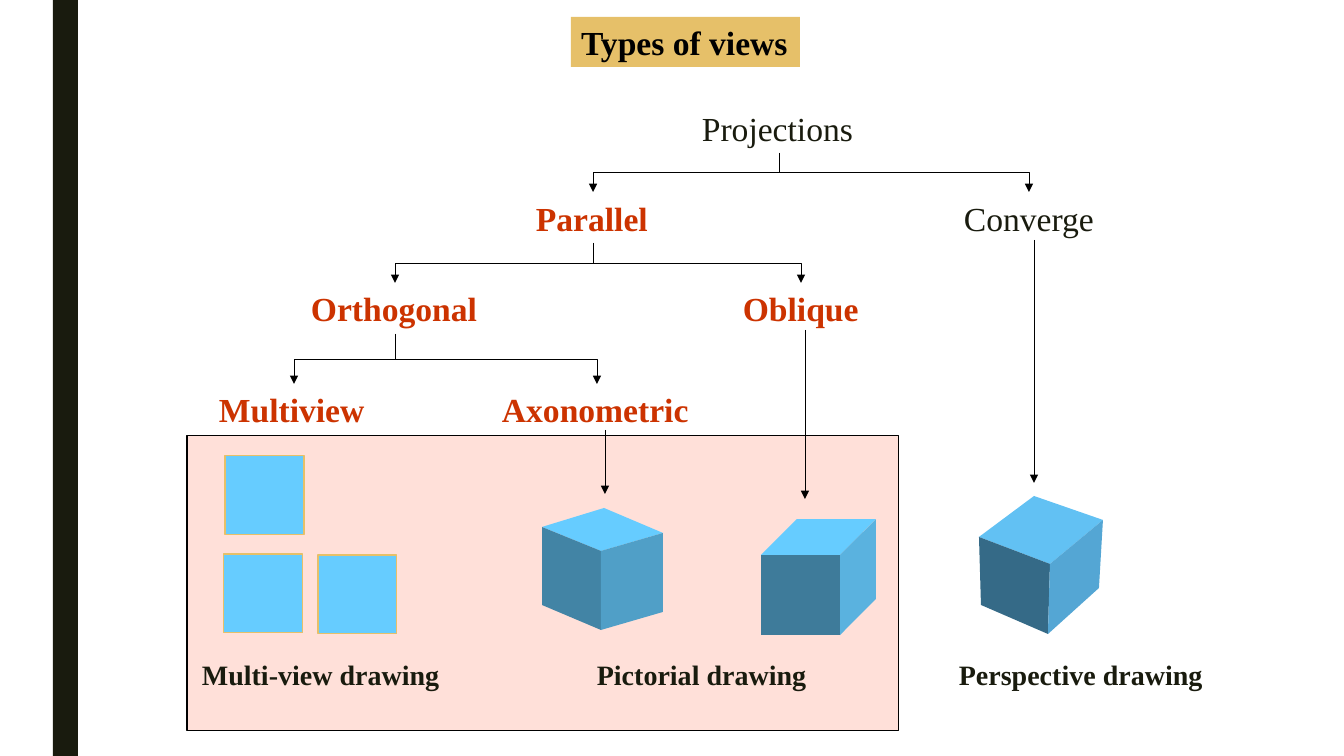
"""Build the "Types of views" slide: a tree of projections with sample drawings."""
from dataclasses import dataclass
from typing import Optional

from lxml.etree import SubElement
from pptx import Presentation
from pptx.dml.color import RGBColor
from pptx.enum.shapes import MSO_CONNECTOR as Connector, MSO_SHAPE as Preset
from pptx.enum.text import MSO_ANCHOR as Anchor, MSO_AUTO_SIZE as AutoSize, PP_ALIGN as Align
from pptx.oxml.ns import qn
from pptx.util import Emu, Pt

EMU_PER_PX = 914400 / 100.8
SLIDE_WIDTH, SLIDE_HEIGHT = 1344, 756
FONT = "Times New Roman"
BLACK = RGBColor(0x00, 0x00, 0x00)
INK = RGBColor(0x19, 0x1B, 0x0E)
GOLD = RGBColor(0xE6, 0xC0, 0x69)
RED = RGBColor(0xCC, 0x33, 0x00)
PANEL_RED = RGBColor(0xFF, 0x33, 0x00)
SKY = RGBColor(0x66, 0xCC, 0xFF)

Point = tuple[int, int]


@dataclass(frozen=True)
class Label:
    text: str
    left: int
    top: int
    width: int
    height: int = 50
    size: int = 24
    color: RGBColor = RED
    bold: bool = True
    wrap: bool = False
    fit: AutoSize = AutoSize.SHAPE_TO_FIT_TEXT


@dataclass(frozen=True)
class Branch:
    stem_x: int
    top: int
    bottom: int
    child_xs: tuple[int, int]


@dataclass(frozen=True)
class Arrow:
    x: int
    top: int
    bottom: int


@dataclass(frozen=True)
class Cube:
    left: Point
    back: Point
    right: Point
    front: Point
    low_left: Point
    low_front: Point
    low_right: Point
    top_color: RGBColor
    left_color: RGBColor
    right_color: RGBColor


TITLE = Label("Types of views", 571, 17, 229, color=BLACK, fit=AutoSize.NONE)
LABELS = [
    Label("Projections", 692, 103, 172, color=INK, bold=False),
    Label("Converge", 954, 193, 151, color=INK, bold=False),
    Label("Parallel", 526, 193, 133),
    Label("Orthogonal", 301, 283, 188),
    Label("Oblique", 733, 283, 137),
    Label("Axonometric", 492, 384, 209),
    Label("Multiview", 209, 384, 171),
    Label("Pictorial drawing", 587, 653, 232, 44, 20, INK),
    Label("Perspective drawing", 949, 653, 275, 44, 20, INK, wrap=True),
    Label("Multi-view drawing", 192, 653, 260, 44, 20, INK),
]
BRANCHES = [
    Branch(779, 153, 192, (593, 1029)),
    Branch(593, 243, 283, (395, 801)),
    Branch(395, 334, 384, (294, 597)),
]
ARROWS = [Arrow(805, 330, 499), Arrow(605, 430, 494), Arrow(1034, 240, 483)]
VIEW_SIZE = 79
VIEWS = [(224, 554), (318, 555), (225, 456)]
CUBES = [
    Cube((542, 527), (604, 508), (663, 533), (601, 551), (542, 605), (601, 630), (663, 612),
         SKY, RGBColor(0x42, 0x84, 0xA5), RGBColor(0x50, 0x9F, 0xC7)),
    Cube((761, 555), (797, 519), (876, 519), (840, 555), (761, 635), (840, 635), (876, 599),
         SKY, RGBColor(0x3E, 0x7B, 0x9A), RGBColor(0x5A, 0xB2, 0xDF)),
    Cube((979, 537), (1034, 496), (1103, 520), (1050, 564), (981, 605), (1048, 634), (1099, 588),
         RGBColor(0x62, 0xC1, 0xF3), RGBColor(0x35, 0x6A, 0x87), RGBColor(0x54, 0xA6, 0xD4)),
]


def px(length: float) -> Emu:
    """Turn pixels into EMU."""
    return Emu(round(length * EMU_PER_PX))


def paint(shape, fill: RGBColor, line: Optional[RGBColor] = None) -> None:
    """Give a shape a flat fill, an optional thin outline and no shadow."""
    shape.shadow.inherit = False
    shape.fill.solid()
    shape.fill.fore_color.rgb = fill
    if line is None:
        shape.line.fill.background()
    else:
        shape.line.color.rgb = line
        shape.line.width = Pt(0.75)


def add_rectangle(page, left: int, top: int, width: int, height: int,
                  fill: RGBColor, line: Optional[RGBColor] = None):
    """Add a painted rectangle."""
    box = page.shapes.add_shape(Preset.RECTANGLE, px(left), px(top), px(width), px(height))
    paint(box, fill, line)
    return box


def write_label(box, label: Label) -> None:
    """Place a box and set its formatted text."""
    box.left, box.top = px(label.left), px(label.top)
    box.width, box.height = px(label.width), px(label.height)
    frame = box.text_frame
    frame.text = label.text
    frame.word_wrap = label.wrap
    frame.auto_size = label.fit
    frame.vertical_anchor = Anchor.TOP
    para = frame.paragraphs[0]
    para.alignment = Align.LEFT
    font = para.runs[0].font
    font.name, font.size, font.bold = FONT, Pt(label.size), label.bold
    font.color.rgb = label.color


def add_arrow(page, kind: Connector, begin: tuple[float, float], end: tuple[float, float]):
    """Add a thin black connector with a triangle at its end."""
    arrow = page.shapes.add_connector(kind, *map(px, begin + end))
    arrow.line.color.rgb = BLACK
    arrow.line.width = Pt(0.5)
    SubElement(arrow.line._get_or_add_ln(), qn("a:tailEnd"), type="triangle")
    SubElement(arrow._element.spPr, qn("a:effectLst"))
    return arrow


def add_branch(page, branch: Branch) -> None:
    """Add elbow arrows that leave a stem downwards, each a turned connector."""
    half_drop = (branch.bottom - branch.top) / 2
    middle_y = branch.top + half_drop
    for child_x in branch.child_xs:
        middle_x = (branch.stem_x + child_x) / 2
        half_span = abs(child_x - branch.stem_x) / 2
        side = 1 if child_x > branch.stem_x else -1
        begin = (middle_x + side * half_drop, middle_y - half_span)
        end = (middle_x - side * half_drop, middle_y + half_span)
        elbow = add_arrow(page, Connector.ELBOW, begin, end)
        degrees = 270 if side > 0 else 90
        elbow._element.spPr.find(qn("a:xfrm")).set("rot", str(degrees * 60000))


def add_cube(page, cube: Cube) -> None:
    """Draw the three visible faces of a cube."""
    faces = [
        (cube.top_color, (cube.left, cube.back, cube.right, cube.front)),
        (cube.left_color, (cube.left, cube.front, cube.low_front, cube.low_left)),
        (cube.right_color, (cube.front, cube.right, cube.low_right, cube.low_front)),
    ]
    for color, corners in faces:
        outline = page.shapes.build_freeform(*corners[0], scale=EMU_PER_PX)
        outline.add_line_segments(corners[1:], close=True)
        paint(outline.convert_to_shape(), color)


def main() -> None:
    """Build and save the deck."""
    deck = Presentation()
    deck.slide_width, deck.slide_height = px(SLIDE_WIDTH), px(SLIDE_HEIGHT)
    page = deck.slides.add_slide(deck.slide_layouts[5])
    add_rectangle(page, 53, 0, 25, SLIDE_HEIGHT, INK)
    panel = add_rectangle(page, 187, 436, 712, 295, PANEL_RED, BLACK)
    panel_color = panel._element.spPr.find(qn("a:solidFill"))[0]
    SubElement(panel_color, qn("a:alpha"), val="15000")

    title = page.shapes.title
    write_label(title, TITLE)
    title.fill.solid()
    title.fill.fore_color.rgb = GOLD
    for label in LABELS:
        write_label(page.shapes.add_textbox(0, 0, 0, 0), label)
    for branch in BRANCHES:
        add_branch(page, branch)
    for cube in CUBES:
        add_cube(page, cube)
    for left, top in VIEWS:
        add_rectangle(page, left, top, VIEW_SIZE, VIEW_SIZE, SKY, GOLD)
    for arrow in ARROWS:
        add_arrow(page, Connector.STRAIGHT, (arrow.x, arrow.top), (arrow.x, arrow.bottom))
    deck.save("out.pptx")


if __name__ == "__main__":
    main()
